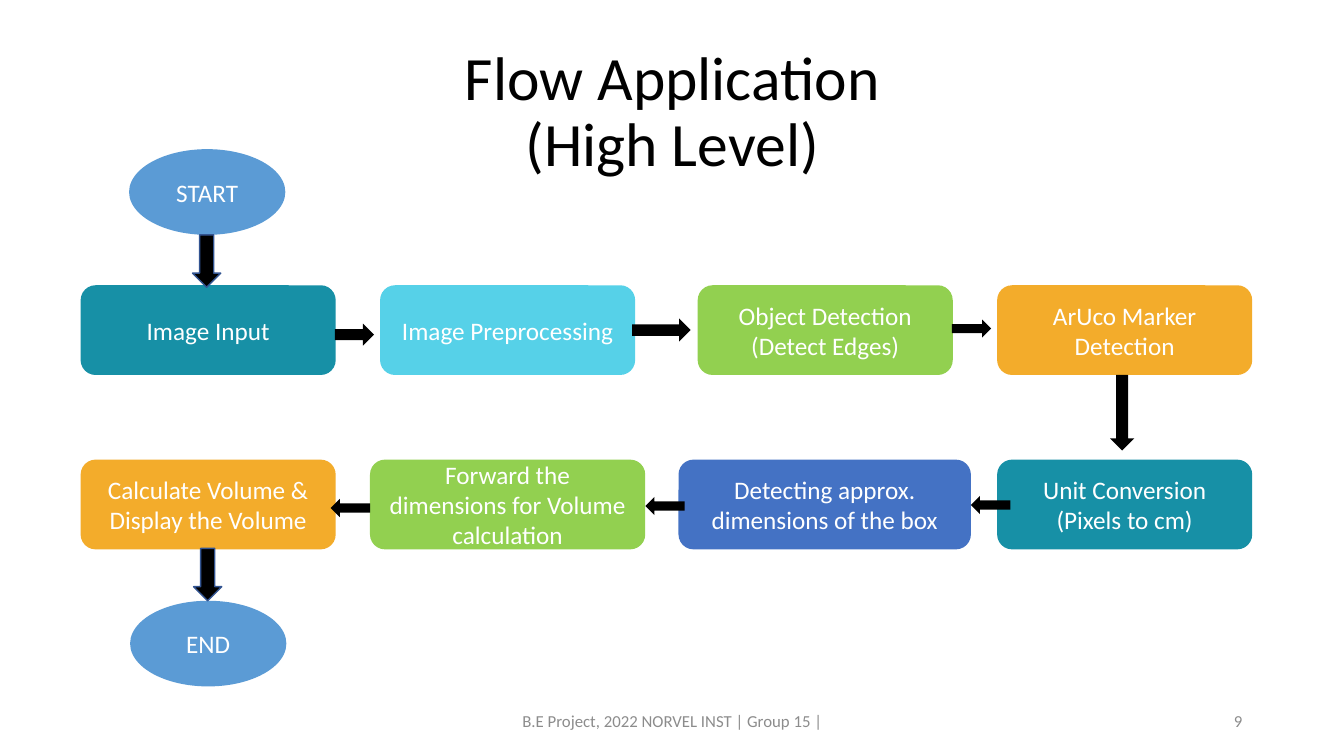
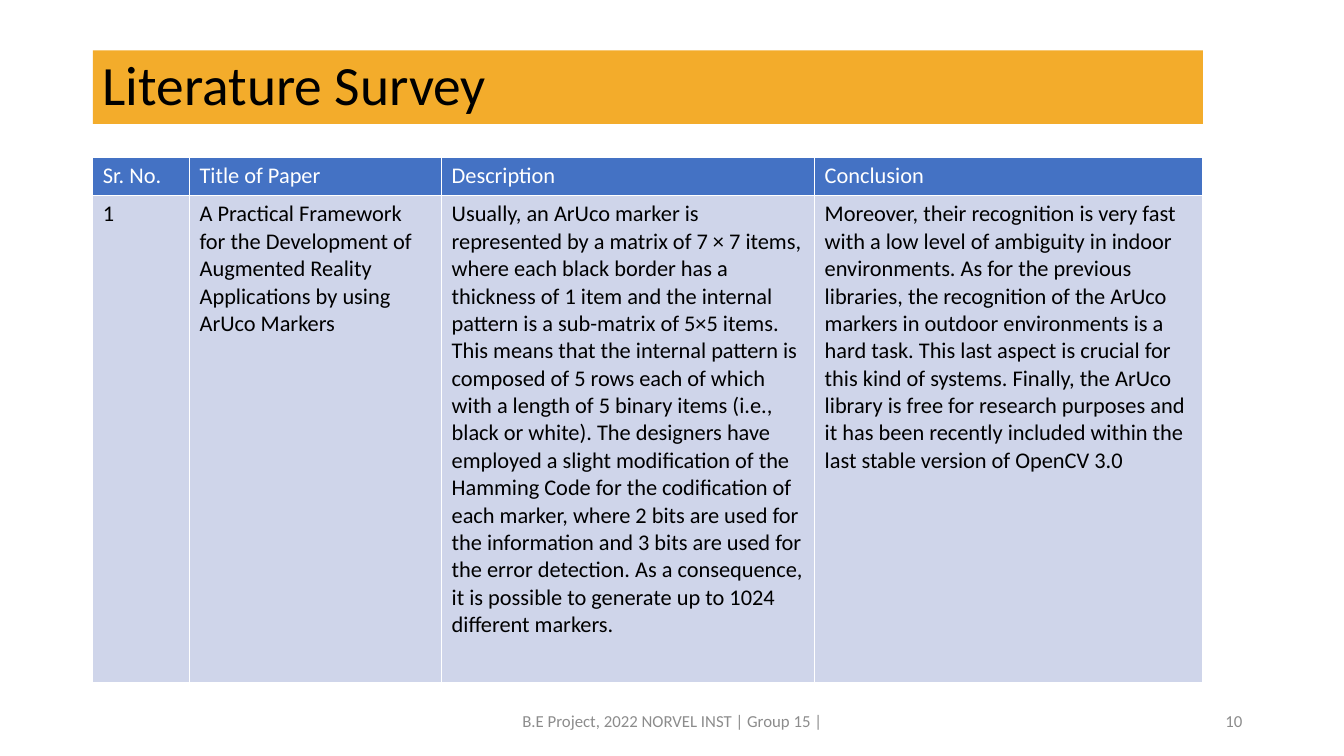
from lxml import etree
from pptx import Presentation
from pptx.dml.color import RGBColor
from pptx.enum import shapes, text
from pptx.oxml import ns
from pptx.util import Inches, Pt

WHITE = RGBColor(0xFF, 0xFF, 0xFF)
BLACK = RGBColor(0x00, 0x00, 0x00)
GRAY = RGBColor(0x8C, 0x8C, 0x8C)
TEAL = RGBColor(0x17, 0x90, 0xA6)
CYAN = RGBColor(0x56, 0xD1, 0xE8)
GREEN = RGBColor(0x92, 0xD0, 0x50)
ORANGE = RGBColor(0xF3, 0xAC, 0x2B)
BLUE = RGBColor(0x44, 0x72, 0xC4)
LIGHT_BLUE = RGBColor(0x5B, 0x9B, 0xD5)
OUTLINE_BLUE = RGBColor(0x32, 0x54, 0x91)
PALE_BLUE = RGBColor(0xCF, 0xD5, 0xEA)

FONT = "Calibri"
FOOTER = "B.E Project, 2022 NORVEL INST | Group 15 |"
SHAPE = shapes.MSO_SHAPE
LEFT, CENTER, RIGHT = text.PP_ALIGN.LEFT, text.PP_ALIGN.CENTER, text.PP_ALIGN.RIGHT

STEP_HEIGHT = 0.89
TOP_ROW, BOTTOM_ROW = 2.83, 4.56
# Each step: left, top, width, fill, label
STEPS = [
    (0.8, TOP_ROW, 2.53, TEAL, "Image Input"),
    (3.77, TOP_ROW, 2.53, CYAN, "Image Preprocessing"),
    (6.92, TOP_ROW, 2.53, GREEN, "Object Detection\n(Detect Edges)"),
    (9.89, TOP_ROW, 2.53, ORANGE, "ArUco Marker Detection"),
    (9.89, BOTTOM_ROW, 2.53, TEAL, "Unit Conversion\n(Pixels to cm)"),
    (6.73, BOTTOM_ROW, 2.9, BLUE, "Detecting approx. dimensions of the box"),
    (3.67, BOTTOM_ROW, 2.73, GREEN, "Forward the dimensions for Volume calculation"),
    (0.8, BOTTOM_ROW, 2.53, ORANGE, "Calculate Volume & Display the Volume"),
]
# Each arrow: preset, box, outline
ARROWS = [
    (SHAPE.RIGHT_ARROW, (3.32, 3.21, 0.39, 0.22), None),
    (SHAPE.RIGHT_ARROW, (6.27, 3.16, 0.58, 0.23), None),
    (SHAPE.RIGHT_ARROW, (9.44, 3.17, 0.39, 0.18), None),
    (SHAPE.DOWN_ARROW, (11.01, 3.72, 0.24, 0.75), None),
    (SHAPE.LEFT_ARROW, (9.63, 4.92, 0.39, 0.18), None),
    (SHAPE.LEFT_ARROW, (6.4, 4.93, 0.39, 0.18), None),
    (SHAPE.LEFT_ARROW, (3.28, 4.95, 0.39, 0.18), None),
    (SHAPE.DOWN_ARROW, (1.91, 2.33, 0.28, 0.52), OUTLINE_BLUE),
    (SHAPE.DOWN_ARROW, (1.92, 5.44, 0.28, 0.52), OUTLINE_BLUE),
]
TERMINALS = [((1.28, 1.48, 1.55, 0.85), "START"), ((1.29, 5.96, 1.55, 0.85), "END")]

COLUMN_WIDTHS = [0.96, 2.5, 3.7, 3.85]
ROW_HEIGHTS = [0.38, 4.83]
PAPERS = [
    ["Sr. No.", "Title of Paper", "Description", "Conclusion"],
    [
        "1",
        "A Practical Framework for the Development of Augmented Reality "
        "Applications by using ArUco Markers",
        "Usually, an ArUco marker is represented by a matrix of 7 × 7 items, where "
        "each black border has a thickness of 1 item and the internal pattern is a "
        "sub-matrix of 5×5 items. This means that the internal pattern is composed "
        "of 5 rows each of which with a length of 5 binary items (i.e., black or "
        "white). The designers have employed a slight modification of the Hamming "
        "Code for the codification of each marker, where 2 bits are used for the "
        "information and 3 bits are used for the error detection. As a consequence, "
        "it is possible to generate up to 1024 different markers.",
        "Moreover, their recognition is very fast with a low level of ambiguity in "
        "indoor environments. As for the previous libraries, the recognition of the "
        "ArUco markers in outdoor environments is a hard task. This last aspect is "
        "crucial for this kind of systems. Finally, the ArUco library is free for "
        "research purposes and it has been recently included within the last stable "
        "version of OpenCV 3.0",
    ],
]


def write(frame, words, size, color, align=LEFT, spacing=None):
    frame.word_wrap = True
    frame.text = words
    for paragraph in frame.paragraphs:
        paragraph.alignment = align
        paragraph.line_spacing = spacing
        paragraph.font.name = FONT
        paragraph.font.size = Pt(size)
        paragraph.font.color.rgb = color


def add_text(slide, box, words, size, color, align, spacing=None):
    shape = slide.shapes.add_textbox(*map(Inches, box))
    shape.text_frame.vertical_anchor = text.MSO_ANCHOR.MIDDLE
    write(shape.text_frame, words, size, color, align, spacing)
    return shape


def add_block(slide, preset, box, fill, outline=None):
    shape = slide.shapes.add_shape(preset, *map(Inches, box))
    shape.shadow.inherit = False
    shape.fill.solid()
    shape.fill.fore_color.rgb = fill
    if outline is None:
        shape.line.fill.background()
    else:
        shape.line.color.rgb = outline
        shape.line.width = Pt(1)
    return shape


def add_title(slide, box, words, size, align, band=None):
    shape = add_text(slide, box, words, size, BLACK, align, spacing=0.9)
    if band is not None:
        shape.fill.solid()
        shape.fill.fore_color.rgb = band


def add_footer(slide, number):
    add_text(slide, (4.42, 6.95, 4.5, 0.4), FOOTER, 12, GRAY, CENTER)
    add_text(slide, (9.42, 6.95, 3, 0.4), str(number), 12, GRAY, RIGHT)


def add_flow(slide):
    for left, top, width, fill, label in STEPS:
        step = add_block(slide, SHAPE.ROUNDED_RECTANGLE, (left, top, width, STEP_HEIGHT), fill)
        write(step.text_frame, label, 18, WHITE, CENTER)
    for box, label in TERMINALS:
        terminal = add_block(slide, SHAPE.OVAL, box, LIGHT_BLUE)
        write(terminal.text_frame, label, 18, WHITE, CENTER)
    for preset, box, outline in ARROWS:
        add_block(slide, preset, box, BLACK, outline)


def set_borders(cell, color, width):
    properties = cell._tc.get_or_add_tcPr()
    for side in ("lnL", "lnR", "lnT", "lnB"):
        line = etree.SubElement(properties, ns.qn(f"a:{side}"), w=str(Pt(width)))
        fill = etree.SubElement(line, ns.qn("a:solidFill"))
        etree.SubElement(fill, ns.qn("a:srgbClr"), val=str(color))


def add_paper_table(slide, left, top):
    size = sum(COLUMN_WIDTHS), sum(ROW_HEIGHTS)
    frame = slide.shapes.add_table(
        len(PAPERS), len(COLUMN_WIDTHS), *map(Inches, (left, top, *size))
    )
    table = frame.table
    table.first_row = True
    table.horz_banding = False
    for column, width in zip(table.columns, COLUMN_WIDTHS):
        column.width = Inches(width)
    for index, (row, height) in enumerate(zip(table.rows, ROW_HEIGHTS)):
        row.height = Inches(height)
        fill, color = (BLUE, WHITE) if index == 0 else (PALE_BLUE, BLACK)
        for cell, words in zip(row.cells, PAPERS[index]):
            set_borders(cell, WHITE, 1)
            cell.fill.solid()
            cell.fill.fore_color.rgb = fill
            write(cell.text_frame, words, 16, color)
            for paragraph in cell.text_frame.paragraphs:
                paragraph.font.bold = False


def build_flow_slide(slide):
    add_title(slide, (0.92, 0.4, 11.5, 1.45), "Flow Application\v(High Level)", 44, CENTER)
    add_flow(slide)
    add_footer(slide, 9)


def build_survey_slide(slide):
    add_title(slide, (0.92, 0.5, 11.01, 0.73), "Literature Survey", 39.6, LEFT, ORANGE)
    add_paper_table(slide, 0.92, 1.56)
    add_footer(slide, 10)


def main():
    presentation = Presentation()
    presentation.slide_width = Inches(13.33)
    presentation.slide_height = Inches(7.5)
    blank = presentation.slide_layouts[6]
    for build in (build_flow_slide, build_survey_slide):
        build(presentation.slides.add_slide(blank))
    presentation.save("out.pptx")


if __name__ == "__main__":
    main()
